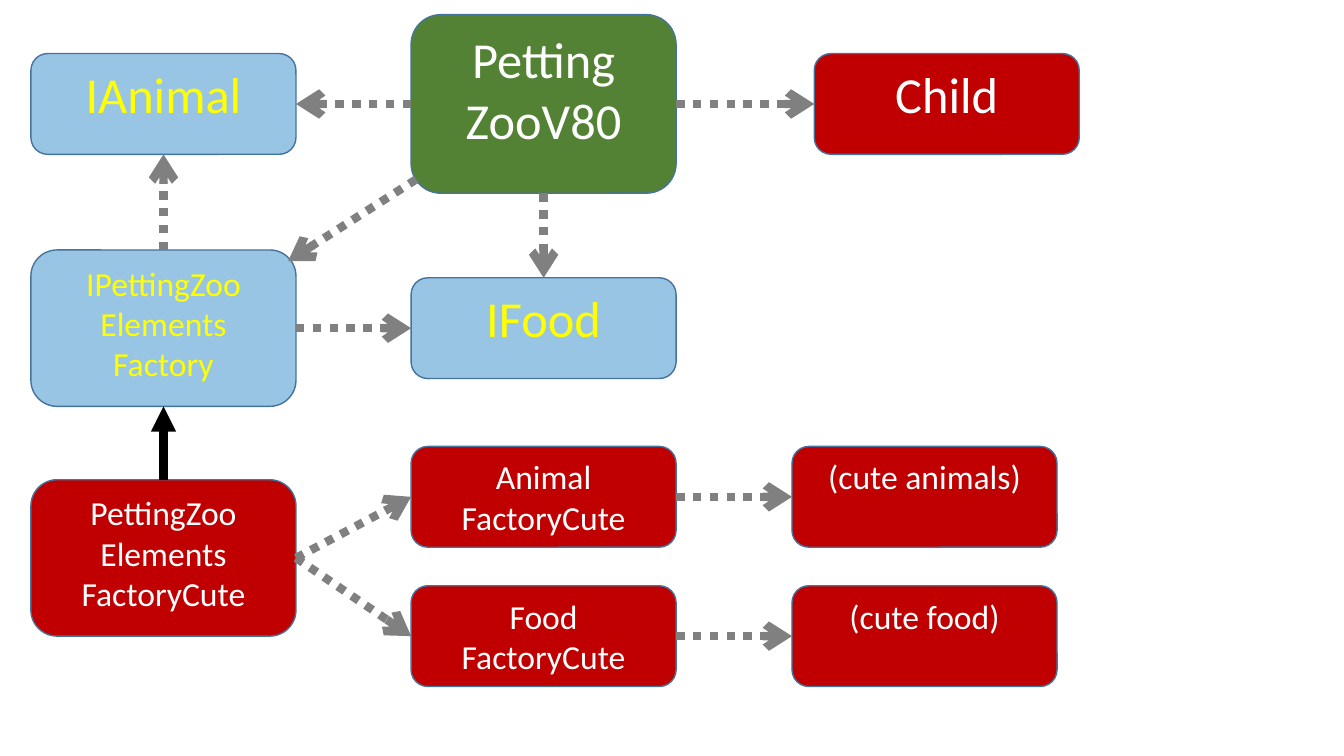
from lxml import etree
from pptx import Presentation
from pptx.dml.color import RGBColor
from pptx.enum import dml, shapes, text
from pptx.oxml.ns import qn
from pptx.util import Cm, Pt

COLORS = {
    "interface": "0070C0", "concrete": "C00000", "zoo": "548235",
    "outline": "43739E", "uses": "808080", "inherits": "000000",
    "white": "FFFFFF", "yellow": "FFFF00",
}
TOP, LEFT, BOTTOM, RIGHT = range(4)

# Layout in cm: column left edges, row centres and box sizes
COLS = {"left": 0.78, "middle": 10.36, "right": 19.96, "child": 20.52}
ROWS = {"zoo": 2.62, "factory": 8.27, "animal": 12.52, "cute": 14.06, "food": 16.03}
BOX_WIDTH = 6.68
HEIGHTS = {"small": 2.54, "medium": 3.94, "large": 4.5}

# name: (lines, column, row, height, kind, font size)
BOXES = {
    "Child": (["Child"], "child", "zoo", "small", "concrete", 36),
    "Zoo": (["Petting", "ZooV80"], "middle", "zoo", "large", "zoo", 36),
    "IAnimal": (["IAnimal"], "left", "zoo", "small", "interface", 36),
    "IFactory": (["IPettingZoo", "Elements", "Factory"],
                 "left", "factory", "medium", "interface", 24),
    "IFood": (["IFood"], "middle", "factory", "small", "interface", 36),
    "AnimalFactory": (["Animal", "FactoryCute"],
                      "middle", "animal", "small", "concrete", 24),
    "Animals": (["(cute animals)"], "right", "animal", "small", "concrete", 24),
    "CuteFactory": (["PettingZoo", "Elements", "FactoryCute"],
                    "left", "cute", "medium", "concrete", 24),
    "FoodFactory": (["Food", "FactoryCute"],
                    "middle", "food", "small", "concrete", 24),
    "Food": (["(cute food)"], "right", "food", "small", "concrete", 24),
}

# (from box, side, to box, side, kind)
LINKS = [
    ("Zoo", RIGHT, "Child", LEFT, "uses"),
    ("Zoo", LEFT, "IAnimal", RIGHT, "uses"),
    ("IFactory", TOP, "IAnimal", BOTTOM, "uses"),
    ("Zoo", BOTTOM, "IFood", TOP, "uses"),
    ("IFactory", RIGHT, "IFood", LEFT, "uses"),
    ("CuteFactory", RIGHT, "AnimalFactory", LEFT, "uses"),
    ("CuteFactory", RIGHT, "FoodFactory", LEFT, "uses"),
    ("CuteFactory", TOP, "IFactory", BOTTOM, "inherits"),
    ("AnimalFactory", RIGHT, "Animals", LEFT, "uses"),
    ("FoodFactory", RIGHT, "Food", LEFT, "uses"),
]
# Corner-to-corner arrow from the zoo to its factory interface
CORNER_LINK = (10.49, 4.52, 7.26, 6.58)


def rgb(name):
    return RGBColor.from_string(COLORS[name])


def write(sp, lines, size, color, font="Calibri"):
    tf = sp.text_frame
    tf.word_wrap = True
    tf.vertical_anchor = text.MSO_ANCHOR.TOP
    for i, line in enumerate(lines):
        p = tf.paragraphs[0] if i == 0 else tf.add_paragraph()
        p.alignment = text.PP_ALIGN.CENTER
        r = p.add_run()
        r.text = line
        r.font.name, r.font.size = font, Pt(size)
        r.font.color.rgb = rgb(color)


def add_box(s, lines, col, row, height, kind, size):
    h = HEIGHTS[height]
    sp = s.shapes.add_shape(shapes.MSO_SHAPE.ROUNDED_RECTANGLE, Cm(COLS[col]),
                            Cm(ROWS[row] - h / 2), Cm(BOX_WIDTH), Cm(h))
    sp.shadow.inherit = False
    sp.fill.solid()
    sp.fill.fore_color.rgb = rgb(kind)
    sp.line.color.rgb = rgb("outline")
    sp.line.width = Pt(1)
    if kind == "interface":  # 40 % opaque
        fill = sp._element.spPr.find(qn("a:solidFill"))
        etree.SubElement(fill[0], qn("a:alpha"), val="40000")
    write(sp, lines, size, "yellow" if kind == "interface" else "white")
    return sp


def add_arrow(s, kind, ends=(0, 0, 0, 0)):
    cn = s.shapes.add_connector(shapes.MSO_CONNECTOR.STRAIGHT, *map(Cm, ends))
    cn.line.color.rgb = rgb(kind)
    cn.line.width = Pt(6)
    if kind == "uses":
        cn.line.dash_style = dml.MSO_LINE.ROUND_DOT
    head = "arrow" if kind == "uses" else "triangle"
    etree.SubElement(cn.line._get_or_add_ln(), qn("a:tailEnd"), type=head)
    etree.SubElement(cn._element.spPr, qn("a:effectLst"))
    return cn


def main():
    prs = Presentation()
    prs.slide_width, prs.slide_height = Cm(33.87), Cm(19.05)
    s = prs.slides.add_slide(prs.slide_layouts[6])

    # Class boxes
    boxes = {name: add_box(s, *box) for name, box in BOXES.items()}

    # Relations
    for start, start_side, end, end_side, kind in LINKS:
        cn = add_arrow(s, kind)
        cn.begin_connect(boxes[start], start_side)
        cn.end_connect(boxes[end], end_side)
    add_arrow(s, "uses", CORNER_LINK)

    prs.save("out.pptx")


if __name__ == "__main__":
    main()
